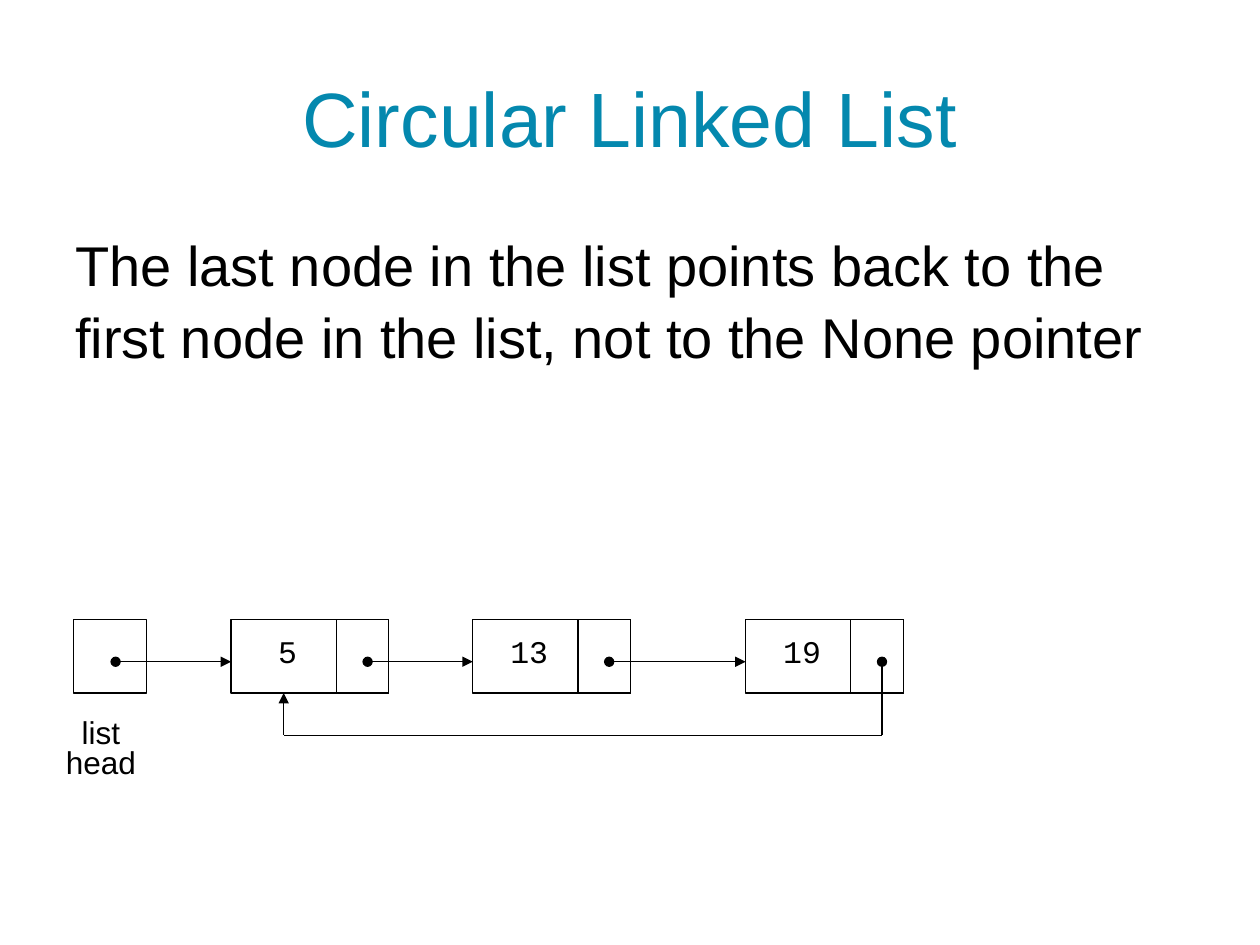
from dataclasses import dataclass

from lxml import etree
from pptx import Presentation
from pptx import util as u
from pptx.dml.color import RGBColor
from pptx.enum import shapes, text
from pptx.oxml import ns


@dataclass(frozen=True)
class Theme:
    title_colour: RGBColor = RGBColor(0x04, 0x88, 0xAE)
    ink: RGBColor = RGBColor(0, 0, 0)
    sans: str = "Arial"
    mono: str = "Courier New"
    title_size: int = 44
    body_size: int = 32
    label_size: int = 18
    line_width: float = 0.75


THEME = Theme()

# Diagram measures in centimetres
BOX_HEIGHT = 1.48
HEAD_WIDTH = 1.48
NODE_WIDTH = 3.18
LINK_WIDTH = 1.06
POINTER_Y = 0.85
HEAD_POINTER_X = 0.85
NODE_POINTER_X = 2.75
LOOP_Y = 2.33
NODES = [("5", 3.18), ("13", 8.05), ("19", 13.55)]


def add_text(parent, box, lines, size, colour, font=THEME.sans,
             align=text.PP_ALIGN.CENTER, anchor=text.MSO_ANCHOR.MIDDLE,
             spacing=1.0, wrap=True):
    shape = parent.add_textbox(*(u.Cm(value) for value in box))
    frame = shape.text_frame
    frame.word_wrap = wrap
    frame.vertical_anchor = anchor
    for index, line in enumerate(lines):
        paragraph = frame.add_paragraph() if index else frame.paragraphs[0]
        paragraph.alignment = align
        paragraph.line_spacing = spacing
        run = paragraph.add_run()
        run.text = line
        run.font.name = font
        run.font.size = u.Pt(size)
        run.font.color.rgb = colour


def add_box(parent, left, top, width):
    shape = parent.add_shape(shapes.MSO_SHAPE.RECTANGLE, u.Cm(left), u.Cm(top),
                             u.Cm(width), u.Cm(BOX_HEIGHT))
    shape.shadow.inherit = False
    shape.fill.background()
    shape.line.color.rgb = THEME.ink
    shape.line.width = u.Pt(THEME.line_width)


def add_line(parent, start, end, head=None, tail=None):
    connector = parent.add_connector(shapes.MSO_CONNECTOR.STRAIGHT,
                                     *(u.Cm(value) for value in start + end))
    connector.line.color.rgb = THEME.ink
    connector.line.width = u.Pt(THEME.line_width)
    line = connector.line._get_or_add_ln()
    for tag, kind in (("a:headEnd", head), ("a:tailEnd", tail)):
        if kind:
            etree.SubElement(line, ns.qn(tag), type=kind)
    etree.SubElement(connector._element.spPr, ns.qn("a:effectLst"))


def add_heading(slide, box):
    add_text(slide.shapes, box, ["Circular Linked List"],
             THEME.title_size, THEME.title_colour)


def add_statement(slide, box):
    sentence = ("The last node in the list points back to the first node "
                "in the list, not to the None pointer")
    add_text(slide.shapes, box, [sentence], THEME.body_size, THEME.ink,
             align=text.PP_ALIGN.LEFT, anchor=text.MSO_ANCHOR.TOP, spacing=1.06)


def add_linked_list(slide, left, top):
    diagram = slide.shapes.add_group_shape().shapes
    pointer_y = top + POINTER_Y

    # List head and its label
    add_box(diagram, left, top, HEAD_WIDTH)
    add_text(diagram, (left - 0.64, top + 1.91, 2.39, 1.88), ["list", "head"],
             THEME.label_size, THEME.ink, anchor=text.MSO_ANCHOR.TOP,
             spacing=0.8, wrap=False)

    # Nodes, each reached by an arrow from the one before
    pointer_x = left + HEAD_POINTER_X
    for value, offset in NODES:
        node_x = left + offset
        add_box(diagram, node_x, top, NODE_WIDTH)
        add_box(diagram, node_x + NODE_WIDTH - LINK_WIDTH, top, LINK_WIDTH)
        add_text(diagram, (node_x + 0.38, top, 1.52, 1.27), [value],
                 THEME.label_size, THEME.ink, font=THEME.mono, wrap=False)
        add_line(diagram, (pointer_x, pointer_y), (node_x, pointer_y),
                 head="oval", tail="triangle")
        pointer_x = node_x + NODE_POINTER_X

    # Loop from the last node back to the first
    first_x = left + NODES[0][1] + LINK_WIDTH
    loop_y = top + LOOP_Y
    add_line(diagram, (pointer_x, pointer_y), (pointer_x, loop_y), head="oval")
    add_line(diagram, (pointer_x, loop_y), (first_x, loop_y))
    add_line(diagram, (first_x, loop_y), (first_x, top + BOX_HEIGHT),
             tail="triangle")


def main():
    presentation = Presentation()
    presentation.slide_width = u.Cm(25.4)
    presentation.slide_height = u.Cm(19.05)
    slide = presentation.slides.add_slide(presentation.slide_layouts[6])
    add_heading(slide, (1.27, 0.76, 22.86, 3.18))
    add_statement(slide, (1.27, 4.45, 22.66, 3.18))
    add_linked_list(slide, 1.48, 12.49)
    presentation.save("out.pptx")


if __name__ == "__main__":
    main()
